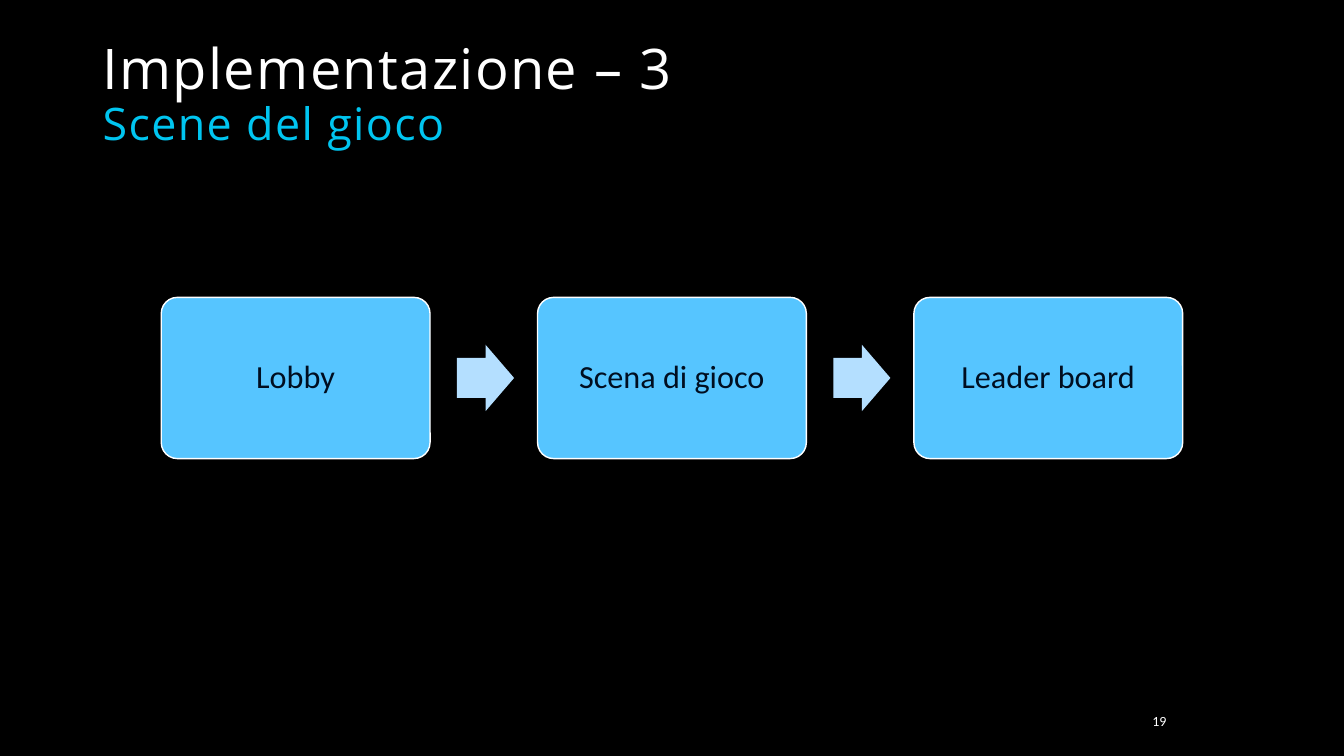
from dataclasses import dataclass

from pptx import Presentation
from pptx.dml.color import RGBColor
from pptx.enum.shapes import MSO_SHAPE as Preset
from pptx.enum.text import MSO_ANCHOR as Anchor, PP_ALIGN as Align
from pptx.shapes.autoshape import Shape
from pptx.slide import Slide
from pptx.util import Inches, Pt

PAGE_WIDTH, PAGE_HEIGHT = Inches(13.33), Inches(7.5)
COLOURS = {
    "background": "000000",
    "white": "FFFFFF",
    "cyan": "00C5F0",
    "card": "56C5FF",
    "arrow": "B4DFFF",
    "ink": "000E20",
}
FIRST_LEFT, STEP, MIDDLE = 12, 28, 50
CARD_WIDTH, CARD_HEIGHT = 20, 21.33
ARROW_OFFSET, ARROW_WIDTH, ARROW_HEIGHT = 22, 4.25, 8.8
SCENES = ["Lobby", "Scena di gioco", "Leader board"]


@dataclass(frozen=True)
class Area:
    left: float
    top: float
    width: float
    height: float

    def lengths(self) -> tuple[int, int, int, int]:
        return (
            int(PAGE_WIDTH * self.left / 100),
            int(PAGE_HEIGHT * self.top / 100),
            int(PAGE_WIDTH * self.width / 100),
            int(PAGE_HEIGHT * self.height / 100),
        )


@dataclass(frozen=True)
class Line:
    text: str
    size: int
    colour: str
    font: str = "Calibri"
    tracking: int = 0


@dataclass(frozen=True)
class Block:
    preset: Preset
    area: Area
    fill: str
    adjustments: tuple[float, ...]
    outline: str = ""


def colour(name: str) -> RGBColor:
    return RGBColor.from_string(COLOURS[name])


def write(box: Shape, lines: list[Line], anchor: Anchor, align: Align, spacing: float) -> None:
    frame = box.text_frame
    for name, value in {"word_wrap": True, "vertical_anchor": anchor}.items():
        setattr(frame, name, value)
    para = frame.paragraphs[0]
    for name, value in {"alignment": align, "line_spacing": spacing}.items():
        setattr(para, name, value)
    for index, line in enumerate(lines):
        if index:
            para.add_line_break()
        span = para.add_run()
        span.text = line.text
        for name, value in {"name": line.font, "size": Pt(line.size)}.items():
            setattr(span.font, name, value)
        span.font.color.rgb = colour(line.colour)
        if line.tracking:
            span.font._element.set("spc", str(line.tracking))


def draw_block(page: Slide, block: Block) -> Shape:
    shape = page.shapes.add_shape(block.preset, *block.area.lengths())
    shape.shadow.inherit = False
    for index, value in enumerate(block.adjustments):
        shape.adjustments[index] = value
    shape.fill.solid()
    shape.fill.fore_color.rgb = colour(block.fill)
    if block.outline:
        shape.line.color.rgb = colour(block.outline)
        shape.line.width = Pt(1)
    else:
        shape.line.fill.background()
    return shape


def draw_scenes(page: Slide) -> None:
    for index, scene in enumerate(SCENES):
        left = FIRST_LEFT + index * STEP
        area = Area(left, MIDDLE - CARD_HEIGHT / 2, CARD_WIDTH, CARD_HEIGHT)
        card = draw_block(page, Block(Preset.ROUNDED_RECTANGLE, area, "card", (0.1,), "white"))
        write(card, [Line(scene, 23, "ink")], Anchor.MIDDLE, Align.CENTER, 0.9)
        if index < len(SCENES) - 1:
            area = Area(left + ARROW_OFFSET, MIDDLE - ARROW_HEIGHT / 2, ARROW_WIDTH, ARROW_HEIGHT)
            draw_block(page, Block(Preset.RIGHT_ARROW, area, "arrow", (0.6, 0.5)))


def main() -> None:
    deck = Presentation()
    for name, value in {"slide_width": PAGE_WIDTH, "slide_height": PAGE_HEIGHT}.items():
        setattr(deck, name, value)
    page = deck.slides.add_slide(deck.slide_layouts[6])
    page.background.fill.solid()
    page.background.fill.fore_color.rgb = colour("background")

    title = page.shapes.add_textbox(*Area(6.9, 0.53, 75, 20).lengths())
    heading = [
        Line("Implementazione – 3", 40, "white", "Open Sans", 100),
        Line("Scene del gioco", 32, "cyan", "Open Sans", 100),
    ]
    write(title, heading, Anchor.BOTTOM, Align.LEFT, 0.9)
    draw_scenes(page)
    number = page.shapes.add_textbox(*Area(80.63, 93.33, 6.9, 4).lengths())
    write(number, [Line("19", 10, "white")], Anchor.MIDDLE, Align.RIGHT, 1.0)
    deck.save("out.pptx")


if __name__ == "__main__":
    main()
